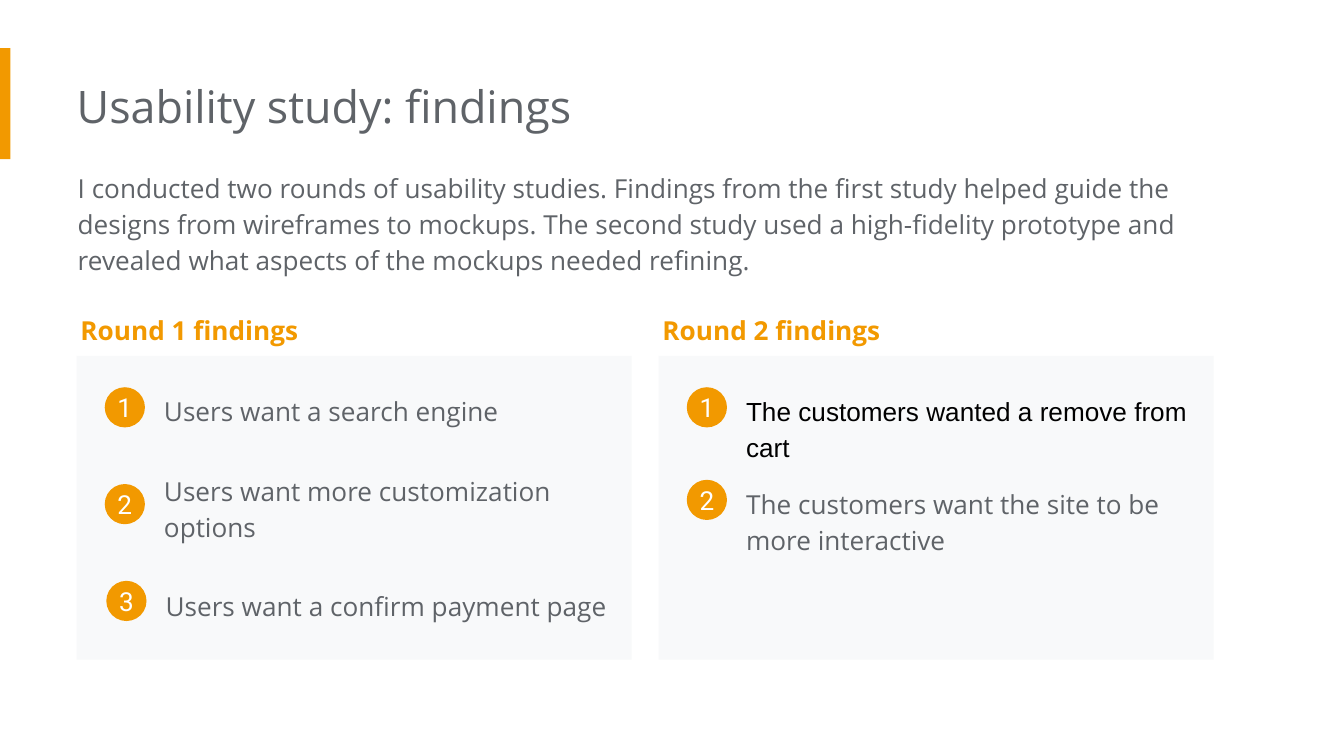
from pptx import Presentation
from pptx.dml.color import RGBColor
from pptx.enum.shapes import MSO_SHAPE as Shape
from pptx.enum.text import MSO_ANCHOR as Anchor, MSO_AUTO_SIZE as AutoSize, PP_ALIGN as Align
from pptx.util import Cm, Pt

ORANGE = RGBColor(0xF2, 0x99, 0x00)
GRAY = RGBColor(0x5F, 0x63, 0x68)
PALE = RGBColor(0xF8, 0xF9, 0xFA)
WHITE = RGBColor(0xFF, 0xFF, 0xFF)
BLACK = RGBColor(0x00, 0x00, 0x00)

INSET = 0.25
PANEL_TOP = 6.73
BADGE_TOP = 7.32
BADGE_SIZE = 0.76

INTRO = ("I conducted two rounds of usability studies. Findings from the first study "
         "helped guide the designs from wireframes to mockups. The second study used a "
         "high-fidelity prototype and revealed what aspects of the mockups needed refining.")

# Heading, panel left, badge pitch, then (text, top, height, font, color) per finding
ROUNDS = [
    ("Round 1 findings", 1.45, 1.83, [
        ("Users want a search engine", 7.14, 1.2, "Open Sans", GRAY),
        ("Users want more customization options", 8.64, 1.8, "Open Sans", GRAY),
        ("Users want a confirm payment page", 10.82, 1.2, "Open Sans", GRAY),
    ]),
    ("Round 2 findings", 12.45, 1.75, [
        ("The customers wanted a remove from cart", 7.14, 1.88, "Arial", BLACK),
        ("The customers want the site to be more interactive", 8.89, 2.57, "Open Sans", GRAY),
    ]),
]


def place(sp, left, top, width, height):
    sp.left, sp.top, sp.width, sp.height = Cm(left), Cm(top), Cm(width), Cm(height)


def write(sp, text, size=14, font="Open Sans", color=GRAY, bold=False,
          align=Align.LEFT, anchor=Anchor.TOP, spacing=1.0, inset=INSET, left_inset=INSET):
    tf = sp.text_frame
    tf.word_wrap = True
    tf.auto_size = AutoSize.NONE
    tf.vertical_anchor = anchor
    tf.margin_left = Cm(left_inset)
    tf.margin_top = tf.margin_right = tf.margin_bottom = Cm(inset)
    p = tf.paragraphs[0]
    p.text = text
    p.alignment = align
    p.line_spacing = spacing
    p.font.name, p.font.size, p.font.bold = font, Pt(size), bold
    p.font.color.rgb = color


def add_text(slide, box, text, **style):
    sp = slide.shapes.add_textbox(*map(Cm, box))
    write(sp, text, spacing=1.15, **style)


def add_block(slide, kind, box, color):
    sp = slide.shapes.add_shape(kind, *map(Cm, box))
    sp.shadow.inherit = False
    sp.fill.solid()
    sp.fill.fore_color.rgb = color
    sp.line.fill.background()
    return sp


def add_badge(slide, left, top, number):
    sp = add_block(slide, Shape.OVAL, (left, top, BADGE_SIZE, BADGE_SIZE), ORANGE)
    write(sp, str(number), font="Roboto", color=WHITE, align=Align.CENTER,
          anchor=Anchor.MIDDLE, inset=0, left_inset=0)


def add_round(slide, heading, left, pitch, findings):
    add_block(slide, Shape.RECTANGLE, (left, PANEL_TOP, 10.49, 5.74), PALE)
    for i, (text, top, height, font, color) in enumerate(findings):
        # The third finding sits slightly to the right
        shift = 0.03 if i == 2 else 0
        add_text(slide, (left + 1.4 + shift, top, 9.27, height), text, font=font, color=color)
        add_badge(slide, left + 0.53 + shift, BADGE_TOP + i * pitch, i + 1)
    add_text(slide, (left - 0.18, 5.61, 9.27, 1.12), heading, color=ORANGE, bold=True)


def main():
    prs = Presentation()
    prs.slide_width, prs.slide_height = Cm(25.4), Cm(14.29)
    slide = prs.slides.add_slide(prs.slide_layouts[5])

    # Title with side accent
    add_block(slide, Shape.RECTANGLE, (0, 0.91, 0.2, 2.1), ORANGE)
    title = slide.shapes.title
    place(title, 1.45, 1.24, 17.09, 1.55)
    write(title, "Usability study: findings", size=24, left_inset=0)

    # Introduction
    add_text(slide, (1.47, 2.92, 21.87, 2.49), INTRO, left_inset=0)

    # Findings by round
    for study_round in ROUNDS:
        add_round(slide, *study_round)

    prs.save("out.pptx")


if __name__ == "__main__":
    main()
